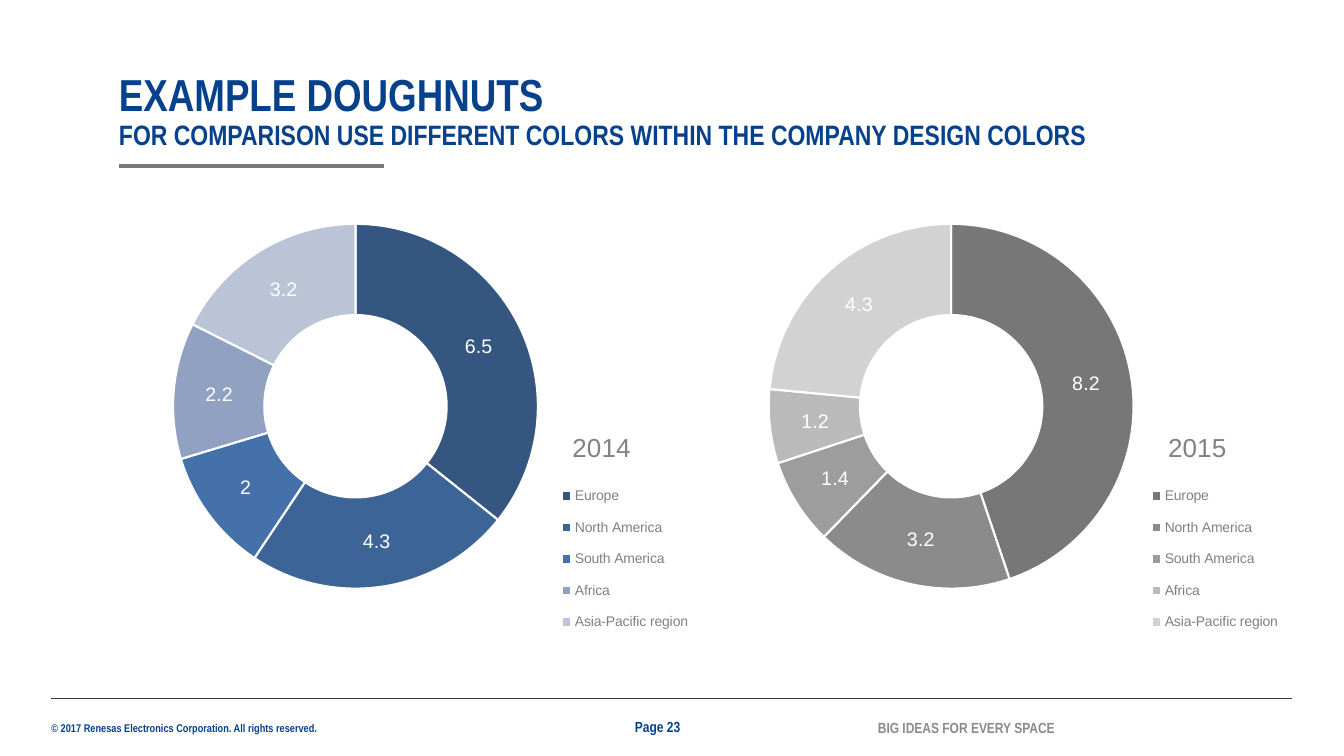
from dataclasses import dataclass

from lxml import etree
from pptx import Presentation
from pptx import util as u
from pptx.chart import data as cd
from pptx.dml import color as col
from pptx.enum import chart as ch
from pptx.enum import shapes, text
from pptx.oxml import ns

NAVY, GREY, INK, WHITE = "06418C", "81817F", "3C3C3B", "FFFFFF"
AREAS = ["Europe", "North America", "South America", "Africa",
         "Asia-Pacific region"]


@dataclass
class Label:
    words: str
    left: float
    top: float
    width: float
    height: float
    sizes: list[float]
    hue: str = NAVY
    anchor: text.MSO_ANCHOR = text.MSO_ANCHOR.MIDDLE
    pitch: float = 1.0


@dataclass
class Rule:
    left: float
    right: float
    top: float
    hue: str
    weight: float


@dataclass
class Ring:
    year: str
    left: float
    values: list[float]
    hues: list[str]
    key: float  # left edge of the legend, as a share of the chart


LABELS = [
    Label("EXAMPLE DOUGHNUTS\vFOR COMPARISON USE DIFFERENT COLORS WITHIN "
          "THE COMPANY DESIGN COLORS", 85, 52, 708.5, 56, [32, 20],
          anchor=text.MSO_ANCHOR.BOTTOM, pitch=0.9),
    Label("© 2017 Renesas Electronics Corporation. All rights reserved.",
          36.7, 515.5, 193, 9.4, [8]),
    Label("Page 23", 453.6, 512.6, 52.6, 13, [10.5]),
    Label("BIG IDEAS FOR EVERY SPACE", 627.1, 513.4, 129.6, 13, [10.5],
          "8B8B89"),
]
RULES = [Rule(36.7, 923, 499, INK, 0.5), Rule(85, 274.3, 118.8, "797979", 3)]
RINGS = [
    Ring("2014", 85, [6.5, 4.3, 2, 2.2, 3.2],
         ["345680", "3C6496", "4471A9", "90A1C1", "BAC4D6"], 0.76),
    Ring("2015", 510.5, [8.2, 3.2, 1.4, 1.2, 4.3],
         ["777777", "8B8B8B", "9D9D9D", "BABABA", "D2D2D2"], 0.75),
]


def rgb(hue: str) -> col.RGBColor:
    return col.RGBColor.from_string(hue)


def style(font, size: float, hue: str, face: str = "Arial",
          bold: bool = False) -> None:
    font.name, font.size, font.bold = face, u.Pt(size), bold
    font.color.rgb = rgb(hue)


def write(slide, item: Label) -> None:
    box = slide.shapes.add_textbox(u.Pt(item.left), u.Pt(item.top),
                                   u.Pt(item.width), u.Pt(item.height))
    frame = box.text_frame
    frame.margin_left = frame.margin_right = 0
    frame.margin_top = frame.margin_bottom = 0
    frame.word_wrap = True
    frame.vertical_anchor = item.anchor
    line = frame.paragraphs[0]
    line.text = item.words
    line.line_spacing = item.pitch
    for run, size in zip(line.runs, item.sizes):
        style(run.font, size, item.hue, "Arial Narrow", True)


def rule(slide, item: Rule) -> None:
    line = slide.shapes.add_connector(
        shapes.MSO_CONNECTOR.STRAIGHT, u.Pt(item.left), u.Pt(item.top),
        u.Pt(item.right), u.Pt(item.top))
    line.line.color.rgb = rgb(item.hue)
    line.line.width = u.Pt(item.weight)
    etree.SubElement(line._element.spPr, ns.qn("a:effectLst"))


def place(node, index: int, inner: bool = False, **shares: float) -> None:
    """Fix a chart part at shares of the chart's width and height."""
    for old in node.findall(ns.qn("c:layout")):
        node.remove(old)
    layout = etree.Element(ns.qn("c:layout"))
    manual = etree.SubElement(layout, ns.qn("c:manualLayout"))
    marks = {"layoutTarget": "inner"} if inner else {}
    marks |= {"xMode": "edge", "yMode": "edge"} | shares
    for tag, value in marks.items():
        etree.SubElement(manual, ns.qn("c:" + tag)).set("val", str(value))
    node.insert(index, layout)


def draw(slide, ring: Ring) -> None:
    data = cd.CategoryChartData()
    data.categories = AREAS
    data.add_series(ring.year, ring.values)
    chart = slide.shapes.add_chart(
        ch.XL_CHART_TYPE.DOUGHNUT, u.Pt(ring.left), u.Pt(133.2),
        u.Pt(411), u.Pt(334.8), data).chart
    style(chart.font, 10, INK)

    # Segments and their values
    plot = chart.plots[0]
    plot.vary_by_categories = True
    for index, hue in enumerate(ring.hues):
        part = plot.series[0].points[index].format
        part.fill.solid()
        part.fill.fore_color.rgb = rgb(hue)
        part.line.color.rgb = rgb(WHITE)
        part.line.width = u.Pt(1.5)
    tags = plot.series[0].data_labels
    tags.show_value = True
    tags.show_percentage = False
    tags.show_legend_key = False
    style(tags.font, 14, WHITE)

    # Year and legend
    chart.has_title = True
    title = chart.chart_title.text_frame
    title.text = ring.year
    style(title.paragraphs[0].runs[0].font, 18.6, GREY)
    chart.has_legend = True
    chart.legend.position = ch.XL_LEGEND_POSITION.RIGHT
    chart.legend.include_in_layout = False
    style(chart.legend.font, 10, GREY)

    # Places inside the chart
    root = chart._chartSpace.chart
    place(root.plotArea, 0, True, x=0.094, y=0.048, w=0.634, h=0.842)
    place(root.find(ns.qn("c:title")), 1, x=0.78, y=0.51)
    place(root.find(ns.qn("c:legend")), 1, x=ring.key, y=0.61, w=0.24, h=0.37)


def main() -> None:
    deck = Presentation()
    deck.slide_width, deck.slide_height = u.Pt(960), u.Pt(540)
    slide = deck.slides.add_slide(deck.slide_layouts[6])
    for item in RULES:
        rule(slide, item)
    for item in LABELS:
        write(slide, item)
    for ring in RINGS:
        draw(slide, ring)
    deck.save("out.pptx")


if __name__ == "__main__":
    main()
